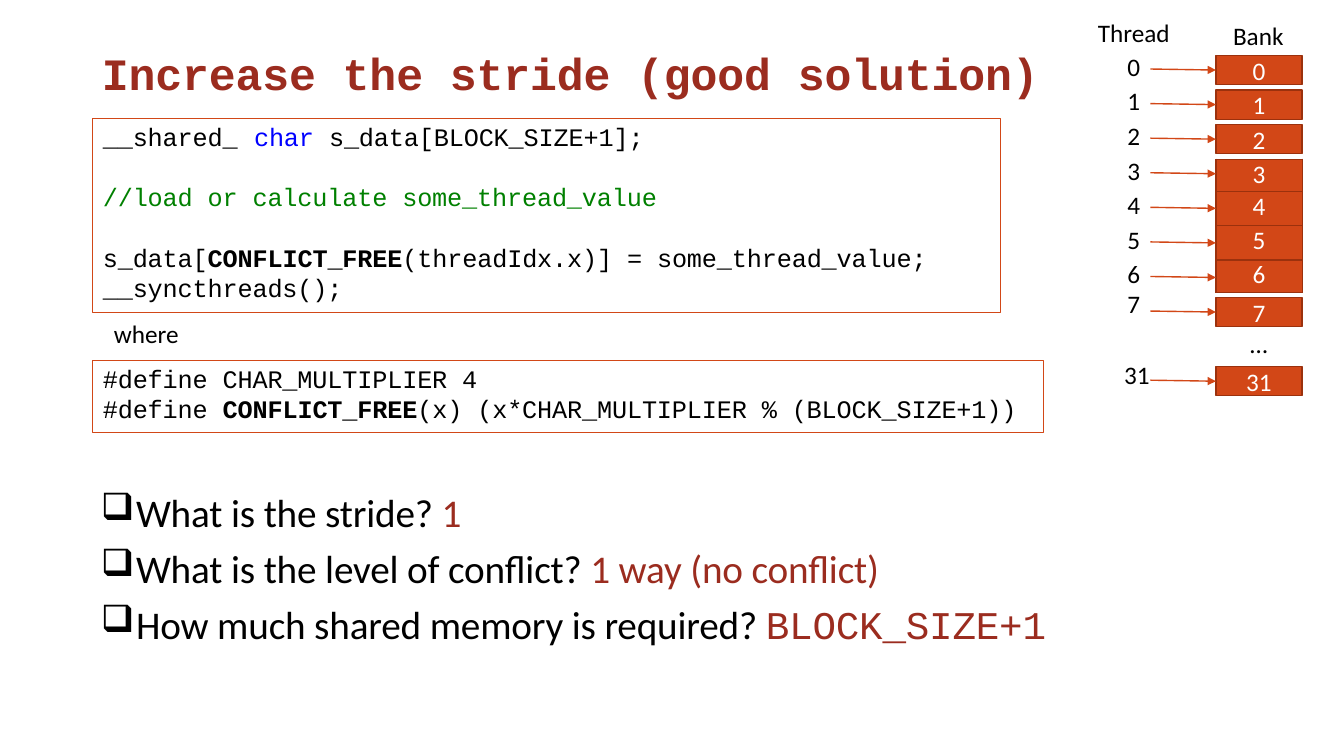
"""Build a slide on conflict-free strides in shared memory banks."""
from dataclasses import dataclass
from typing import Any, Optional

import pptx
import pptx.dml.color
import pptx.enum.shapes
import pptx.enum.text
import pptx.oxml
import pptx.oxml.ns
import pptx.util

RGBColor = pptx.dml.color.RGBColor
RED = RGBColor(0x9B, 0x2C, 0x1F)
ORANGE = RGBColor(0xD2, 0x47, 0x17)
RUST = RGBColor(0x9B, 0x31, 0x0D)
BLUE = RGBColor(0x00, 0x00, 0xFF)
GREEN = RGBColor(0x00, 0x80, 0x00)
BLACK = RGBColor(0x00, 0x00, 0x00)
WHITE = RGBColor(0xFF, 0xFF, 0xFF)
SANS, MONO = "Calibri", "Courier New"
CENTER = pptx.enum.text.PP_ALIGN.CENTER
TOP = pptx.enum.text.MSO_ANCHOR.TOP
MIDDLE = pptx.enum.text.MSO_ANCHOR.MIDDLE

CELL = pptx.util.Inches(0.1)
BANK_COL, BANK_ROW, BANK_COLS, BANK_ROWS = 120.6, 5.5, 8.55, 2.9
BANK_PITCH = 3.43
ARROW_COL = 114.1


@dataclass(frozen=True)
class Run:
    """A stretch of text with its own colour, font or weight."""
    text: str
    color: RGBColor = BLACK
    font: Optional[str] = None
    bold: bool = False


@dataclass(frozen=True)
class Line:
    """One paragraph and its spacing."""
    runs: tuple[Run, ...]
    before: float = 0
    spacing: Any = None
    tab: Optional[float] = None


@dataclass(frozen=True)
class Box:
    """A place on the grid, in columns and rows."""
    col: float
    row: float
    cols: float
    rows: float

    def emu(self) -> tuple[int, ...]:
        """Return left, top, width and height as lengths."""
        return tuple(grid(n) for n in (self.col, self.row, self.cols, self.rows))


@dataclass(frozen=True)
class Bank:
    """A memory bank drawn alone in a slot of the bank column."""
    slot: int
    label: str


def grid(cells: float) -> int:
    """Convert grid cells to a length."""
    return round(cells * CELL)


def line(text: str, color: RGBColor = BLACK, **layout: Any) -> Line:
    """Make a paragraph of a single run."""
    return Line((Run(text, color),), **layout)


def add_xml(parent: Any, tag: str, **attrs: str) -> Any:
    """Append a DrawingML element to a parent."""
    el = pptx.oxml.ns.qn(f"a:{tag}")
    child = parent.makeelement(el, attrs)
    parent.append(child)
    return child


def write(tf: Any, lines: list[Line], *, size: float = 18, font: str = SANS,
          bold: bool = False, align: Any = None, top: float = 0.1, anchor: Any = TOP,
          indent: float = 0, bullet: str = "", track: int = 0) -> None:
    """Fill a text frame with formatted paragraphs."""
    tf.word_wrap = True
    tf.vertical_anchor = anchor
    tf.margin_left = tf.margin_right = tf.margin_bottom = 0
    tf.margin_top = grid(top)
    for i, ln in enumerate(lines):
        p = tf.paragraphs[0] if i == 0 else tf.add_paragraph()
        pPr = p._p.get_or_add_pPr()
        pPr.set("marL", str(grid(indent)))
        pPr.set("indent", str(-grid(indent) if bullet else 0))
        if bullet:
            add_xml(pPr, "buSzPct", val="96000")
            add_xml(pPr, "buChar", char=bullet)
        if ln.tab:
            add_xml(add_xml(pPr, "tabLst"), "tab", pos=str(grid(ln.tab)), algn="l")
        if align is not None:
            p.alignment = align
        if ln.before:
            p.space_before = pptx.util.Pt(ln.before)
        if ln.spacing:
            p.line_spacing = ln.spacing
        for run in ln.runs:
            r = p.add_run()
            r.text = run.text
            r.font.size = pptx.util.Pt(size)
            r.font.name = run.font or font
            r.font.bold = bold or run.bold
            r.font.color.rgb = run.color
            if track:
                r._r.get_or_add_rPr().set("spc", str(track))


def add_text(slide: Any, box: Box, lines: list[Line], **fmt: Any) -> None:
    """Add a text box."""
    write(slide.shapes.add_textbox(*box.emu()).text_frame, lines, **fmt)


def add_rect(slide: Any, box: Box, lines: list[Line], fill: RGBColor,
             edge: RGBColor, width: float, **fmt: Any) -> Any:
    """Add a filled and outlined rectangle with text."""
    sp = slide.shapes.add_shape(pptx.enum.shapes.MSO_SHAPE.RECTANGLE, *box.emu())
    sp.shadow.inherit = False
    sp.fill.solid()
    sp.fill.fore_color.rgb = fill
    sp.line.color.rgb = edge
    sp.line.width = pptx.util.Pt(width)
    fmt.setdefault("align", pptx.enum.text.PP_ALIGN.LEFT)
    write(sp.text_frame, lines, **fmt)
    return sp


def add_arrow(slide: Any, slot: int, bank: Any = None) -> None:
    """Add the arrow from a thread to the bank in the same slot."""
    row = BANK_ROW + slot * BANK_PITCH + BANK_ROWS / 2
    cx = slide.shapes.add_connector(
        pptx.enum.shapes.MSO_CONNECTOR.STRAIGHT,
        grid(ARROW_COL), grid(row - 0.1), grid(BANK_COL), grid(row))
    if bank is not None:
        cx.end_connect(bank, 1)
    cx.line.color.rgb = ORANGE
    cx.line.width = pptx.util.Pt(1)
    add_xml(cx.line._get_or_add_ln(), "tailEnd", type="triangle")
    add_xml(cx._element.spPr, "effectLst")


def add_bank_table(slide: Any, labels: str, heights: list[float]) -> None:
    """Add the run of adjoining banks as a one-column table."""
    box = Box(BANK_COL, 15.8, BANK_COLS, sum(heights))
    table = slide.shapes.add_table(len(labels), 1, *box.emu()).table
    table.first_row = table.horz_banding = False
    for i, (label, height) in enumerate(zip(labels, heights)):
        table.rows[i].height = grid(height)
        cell = table.cell(i, 0)
        write(cell.text_frame, [line(label, WHITE)], align=CENTER)
        cell.margin_left = cell.margin_right = cell.margin_top = cell.margin_bottom = 0
        tcPr = cell._tc.get_or_add_tcPr()
        for side in ("lnL", "lnR", "lnT", "lnB"):
            ln = add_xml(tcPr, side, w=str(pptx.util.Pt(1)))
            add_xml(add_xml(ln, "solidFill"), "srgbClr", val=str(RUST))
        cell.fill.solid()
        cell.fill.fore_color.rgb = ORANGE


def main() -> None:
    """Draw the slide and save it."""
    prs = pptx.Presentation()
    prs.slide_width, prs.slide_height = pptx.util.Inches(13.33), pptx.util.Inches(7.5)
    slide = prs.slides.add_slide(prs.slide_layouts[6])

    add_text(slide, Box(10, 4.4, 94.5, 5.6), [line("Increase the stride (good solution)", RED)],
             size=32, font=MONO, bold=True, indent=0.1, track=-10)
    macro = Run("CONFLICT_FREE", bold=True)
    code = dict(fill=WHITE, edge=ORANGE, width=0.72, font=MONO, top=0.2, indent=1, track=-10)
    add_rect(slide, Box(9.2, 11.8, 90, 19.2), [
        Line((Run("__shared_\t"), Run("char ", BLUE), Run("s_data[BLOCK_SIZE+1];")), tab=17.4),
        line("//load or calculate some_thread_value", GREEN, spacing=2.0),
        Line((Run("s_data["), macro, Run("(threadIdx.x)] = some_thread_value;")), spacing=2.0),
        line("__syncthreads();")], **code)
    add_text(slide, Box(11.2, 31.5, 8, 3.3), [line("where")], indent=0.1)
    add_rect(slide, Box(9.2, 35.8, 94.3, 7.1), [
        line("#define CHAR_MULTIPLIER 4"),
        Line((Run("#define "), macro, Run("(x) (x*CHAR_MULTIPLIER % (BLOCK_SIZE+1))")))], **code)
    add_text(slide, Box(10, 47.3, 96, 17), [
        Line((Run("What is the stride? "), Run("1", RED))),
        Line((Run("What is the level of conflict? "), Run("1 way (no conflict)", RED)), before=6.5),
        Line((Run("How much shared memory is required? "),
              Run("BLOCK_SIZE+1", RED, MONO)), before=6.5)],
        size=28, top=1.1, indent=3.5, bullet="❑", track=-10)

    add_text(slide, Box(108.7, 1.2, 7.4, 30.7),
             [line("Thread", spacing=1.13), line("0", spacing=1.13)]
             + [line(str(n), before=3.1) for n in range(1, 7)]
             + [line("7", spacing=pptx.util.Pt(21.3))], align=CENTER, indent=0.1)
    add_text(slide, Box(111.4, 35.6, 3, 3.3), [line("31")], indent=0.1)
    add_text(slide, Box(122.2, 1.9, 5.6, 3.3), [line("Bank")], indent=0.1)
    add_text(slide, Box(123.9, 32.5, 3, 3.3), [line("…")], indent=0.1)

    add_bank_table(slide, "3456", [3.2, 3.4, 3.4, 3.2])
    for slot in range(3, 7):
        add_arrow(slide, slot)
    for bank in (Bank(0, "0"), Bank(1, "1"), Bank(2, "2"), Bank(7, "7"), Bank(9, "31")):
        box = Box(BANK_COL, BANK_ROW + bank.slot * BANK_PITCH, BANK_COLS, BANK_ROWS)
        sp = add_rect(slide, box, [line(bank.label, WHITE)], ORANGE, RUST, 0.96,
                      align=CENTER, anchor=MIDDLE, top=0)
        add_arrow(slide, bank.slot, sp)
    prs.save("out.pptx")


if __name__ == "__main__":
    main()
